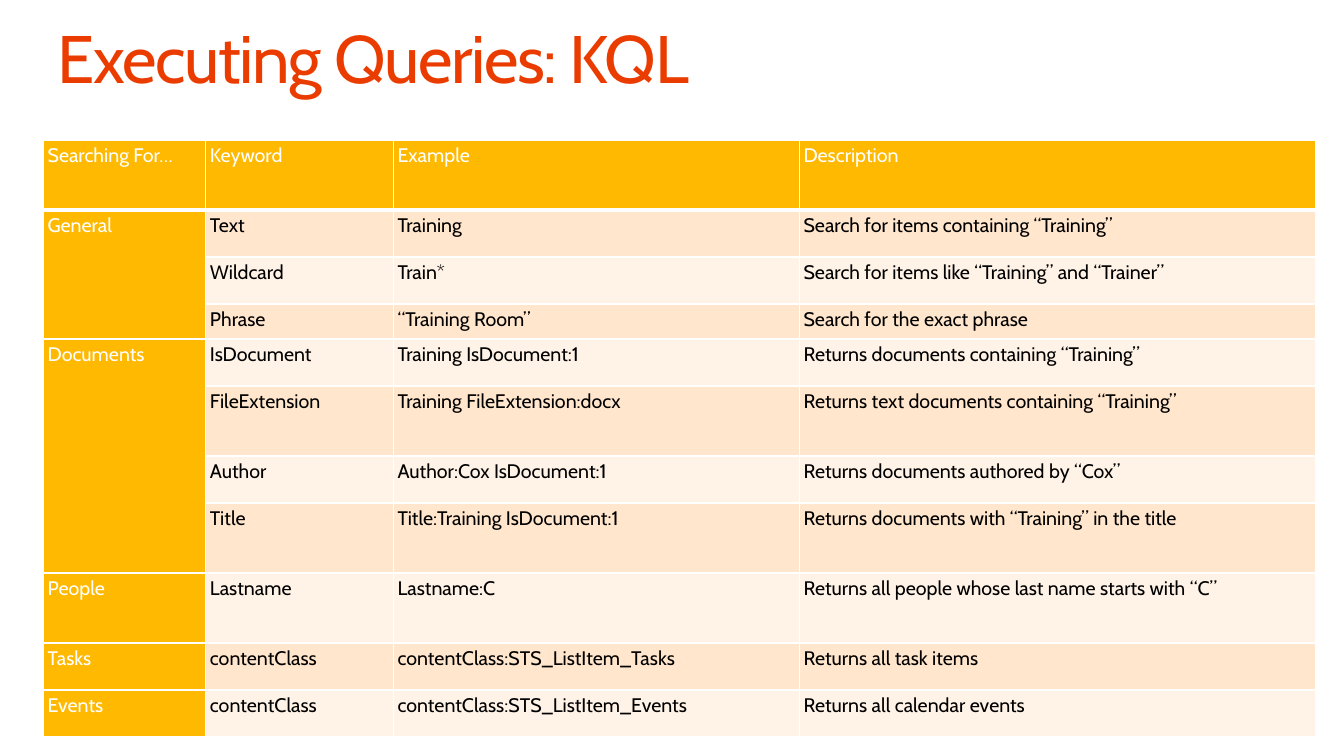
from dataclasses import dataclass

from lxml.etree import SubElement
from pptx import Presentation
from pptx.dml.color import RGBColor
from pptx.enum.text import MSO_ANCHOR as Anchor, MSO_AUTO_SIZE as AutoSize, PP_ALIGN as Align
from pptx.oxml.ns import qn
from pptx.util import Pt

TITLE = "Executing Queries: KQL"
HEADER = ("Searching For…", "Keyword", "Example", "Description")
TALL, MEDIUM, SHORT = 50, 33.6, 25
# Each group: name, then rows of (height, keyword, example, description)
GROUPS = [
    ("General", [
        (MEDIUM, "Text", "Training", "Search for items containing “Training”"),
        (MEDIUM, "Wildcard", "Train*", "Search for items like “Training” and “Trainer”"),
        (SHORT, "Phrase", "“Training Room”", "Search for the exact phrase"),
    ]),
    ("Documents", [
        (MEDIUM, "IsDocument", "Training IsDocument:1",
         "Returns documents containing “Training”"),
        (TALL, "FileExtension", "Training FileExtension:docx",
         "Returns text documents containing “Training”"),
        (MEDIUM, "Author", "Author:Cox IsDocument:1", "Returns documents authored by “Cox”"),
        (TALL, "Title", "Title:Training IsDocument:1",
         "Returns documents with “Training” in the title"),
    ]),
    ("People", [
        (TALL, "Lastname", "Lastname:C", "Returns all people whose last name starts with “C”"),
    ]),
    ("Tasks", [
        (MEDIUM, "contentClass", "contentClass:STS_ListItem_Tasks", "Returns all task items"),
    ]),
    ("Events", [
        (MEDIUM, "contentClass", "contentClass:STS_ListItem_Events",
         "Returns all calendar events"),
    ]),
]
COLUMN_WIDTHS = (116, 134, 290, 368.6)
TABLE_LEFT, TABLE_TOP = 31, 100


@dataclass(frozen=True)
class Theme:
    font: str = "Cabin"
    title_size: int = 48
    table_size: int = 14
    title: str = "EB3C00"
    accent: str = "FFB900"
    bands: tuple = ("FFE6CC", "FFF3E7")
    light: str = "FFFFFF"
    dark: str = "000000"


THEME = Theme()


def write(tf, text, *, size, color, line_spacing, spacing=0):
    tf.word_wrap = True
    p = tf.paragraphs[0]
    p.alignment = Align.LEFT
    p.line_spacing = line_spacing
    r = p.add_run()
    r.text = text
    r.font.name = THEME.font
    r.font.size = Pt(size)
    r.font.bold = False
    r.font.color.rgb = RGBColor.from_string(color)
    if spacing:
        r._r.get_or_add_rPr().set("spc", str(spacing * 100))


def set_borders(cell, bottom):
    """Draw light borders, 1 pt wide except for the bottom one; call before filling."""
    tc_pr = cell._tc.get_or_add_tcPr()
    for side, width in (("L", 1), ("R", 1), ("T", 1), ("B", bottom)):
        ln = SubElement(tc_pr, qn(f"a:ln{side}"), w=str(Pt(width)))
        fill = SubElement(ln, qn("a:solidFill"))
        SubElement(fill, qn("a:srgbClr"), val=THEME.light)


def format_cell(cell, text, fill, color, bottom=1):
    cell.margin_left = cell.margin_right = Pt(3)
    cell.margin_top = cell.margin_bottom = 0
    cell.vertical_anchor = Anchor.TOP
    set_borders(cell, bottom)
    cell.fill.solid()
    cell.fill.fore_color.rgb = RGBColor.from_string(fill)
    if text:
        write(cell.text_frame, text, size=THEME.table_size, color=color, line_spacing=1.15)


def add_title(s):
    sp = s.shapes.title
    sp.left, sp.top, sp.width, sp.height = Pt(41), Pt(18), Pt(878), Pt(59)
    tf = sp.text_frame
    tf.margin_left = tf.margin_right = tf.margin_top = tf.margin_bottom = 0
    tf.vertical_anchor = Anchor.TOP
    tf.auto_size = AutoSize.NONE
    write(tf, TITLE, size=THEME.title_size, color=THEME.title, line_spacing=0.9, spacing=-1)


def add_query_table(s):
    heights = [TALL] + [row[0] for _, rows in GROUPS for row in rows]
    table = s.shapes.add_table(
        len(heights), len(HEADER), Pt(TABLE_LEFT), Pt(TABLE_TOP),
        Pt(sum(COLUMN_WIDTHS)), Pt(sum(heights))).table
    table.horz_banding = False
    table.first_col = True
    for column, width in zip(table.columns, COLUMN_WIDTHS):
        column.width = Pt(width)
    for row, height in zip(table.rows, heights):
        row.height = Pt(height)
    for c, text in enumerate(HEADER):
        format_cell(table.cell(0, c), text, THEME.accent, THEME.light, bottom=3)

    r = 1
    for group, rows in GROUPS:
        first = r
        for _, *texts in rows:
            name = group if r == first else ""
            format_cell(table.cell(r, 0), name, THEME.accent, THEME.light)
            for c, text in enumerate(texts, 1):
                format_cell(table.cell(r, c), text, THEME.bands[(r - 1) % 2], THEME.dark)
            r += 1
        if len(rows) > 1:
            table.cell(first, 0).merge(table.cell(r - 1, 0))


def main():
    prs = Presentation()
    prs.slide_width, prs.slide_height = Pt(960), Pt(540)
    s = prs.slides.add_slide(prs.slide_layouts.get_by_name("Title Only"))
    add_title(s)
    add_query_table(s)
    prs.save("out.pptx")


if __name__ == "__main__":
    main()
